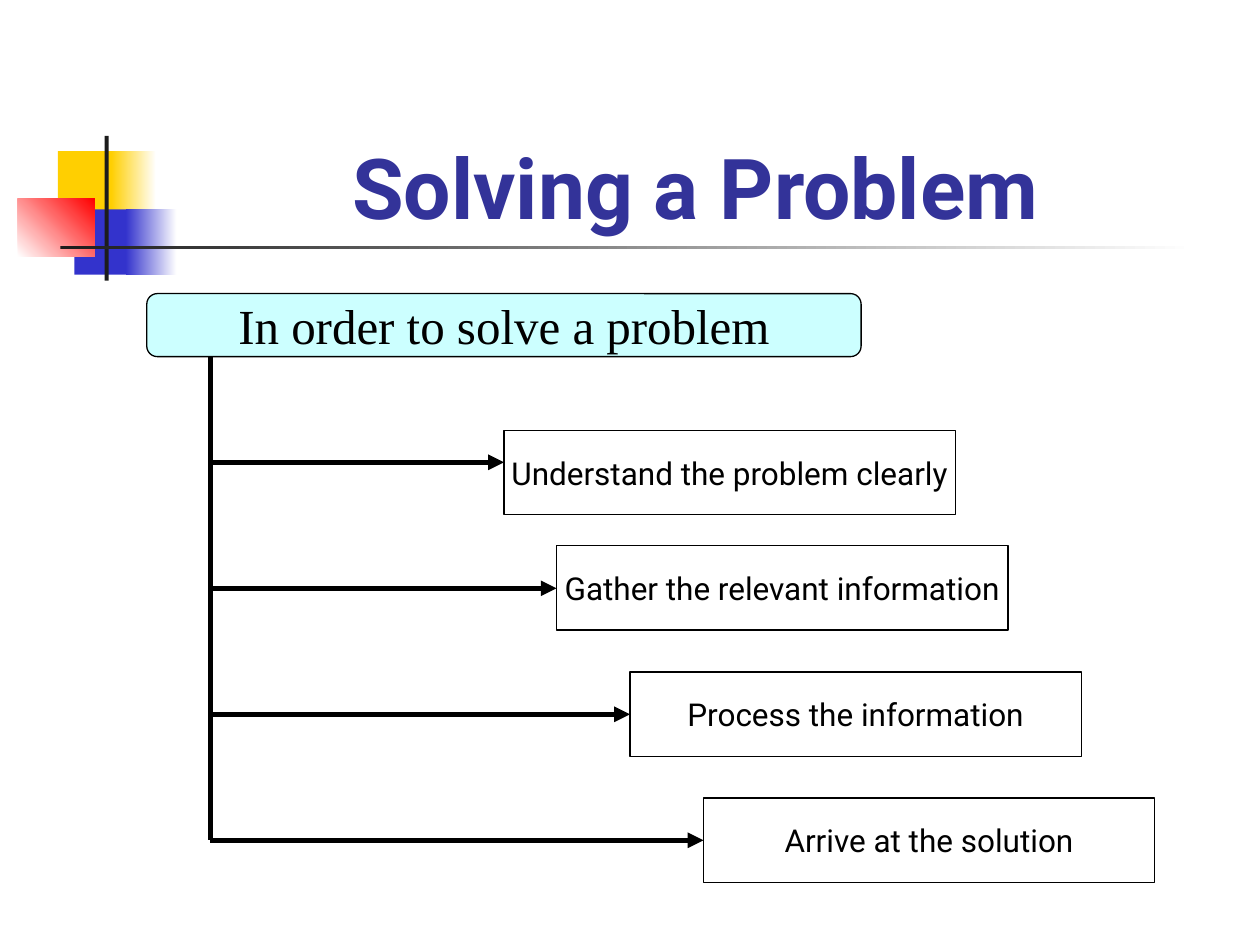
from lxml import etree
from pptx import Presentation
from pptx.dml.color import RGBColor
from pptx.enum.shapes import MSO_CONNECTOR, MSO_SHAPE
from pptx.enum.text import MSO_ANCHOR, PP_ALIGN
from pptx.oxml.ns import qn
from pptx.util import Cm, Pt

BLACK = RGBColor(0x00, 0x00, 0x00)
WHITE = RGBColor(0xFF, 0xFF, 0xFF)
YELLOW = RGBColor(0xFF, 0xCF, 0x01)
BLUE = RGBColor(0x33, 0x33, 0xCC)
RED = RGBColor(0xFF, 0x00, 0x00)
CHARCOAL = RGBColor(0x1C, 0x1C, 0x1C)
NAVY = RGBColor(0x33, 0x33, 0x99)
CYAN = RGBColor(0xCC, 0xFF, 0xFF)

# Content: lengths in cm
TITLE = "Solving a Problem"
HEADING = "In order to solve a problem"
STEPS = [  # text, left, top
    ("Understand the problem clearly", 10.16, 8.68),
    ("Gather the relevant information", 11.22, 11.0),
    ("Process the information", 12.7, 13.55),
    ("Arrive at the solution", 14.18, 16.09),
]
DECOR = [  # left, top, width, height, colours, gradient angle
    (1.17, 3.05, 1.22, 1.32, [YELLOW], 0),
    (2.24, 3.05, 0.91, 1.32, [YELLOW, WHITE], 0),
    (1.5, 4.22, 1.17, 1.32, [BLUE], 0),
    (2.54, 4.22, 1.02, 1.32, [BLUE, WHITE], 0),
    (0.36, 4.01, 1.55, 1.17, [WHITE, RED], 45),
    (2.11, 2.74, 0.08, 2.92, [CHARCOAL], 0),
    (1.22, 4.95, 22.86, 0.08, [CHARCOAL, WHITE], 0),
]
STEP_W, STEP_H = 9.1, 1.7
TRUNK_X, TRUNK_TOP = 4.24, 7.19
FIRST_ARROW, ARROW_GAP = 9.32, 2.54

prs = Presentation()
prs.slide_width, prs.slide_height = Cm(25.4), Cm(19.05)
s = prs.slides.add_slide(prs.slide_layouts[6])


def add_text(sp, text, size, font="Roboto", color=BLACK, bold=False,
             anchor=MSO_ANCHOR.MIDDLE, before=0, wrap=False):
    tf = sp.text_frame
    tf.word_wrap = wrap
    tf.vertical_anchor = anchor
    p = tf.paragraphs[0]
    p.alignment = PP_ALIGN.CENTER
    p.space_before = Pt(before)
    r = p.add_run()
    r.text = text
    r.font.size, r.font.name, r.font.bold = Pt(size), font, bold
    r.font.color.rgb = color


def add_box(left, top, width, height, colors, angle=0, outline=False,
            kind=MSO_SHAPE.RECTANGLE):
    sp = s.shapes.add_shape(kind, Cm(left), Cm(top), Cm(width), Cm(height))
    sp.shadow.inherit = False
    if len(colors) == 1:
        sp.fill.solid()
        sp.fill.fore_color.rgb = colors[0]
    else:
        sp.fill.gradient()
        sp.fill.gradient_angle = angle
        for stop, color, position in zip(sp.fill.gradient_stops, colors, (0, 1)):
            stop.color.rgb, stop.position = color, position
    if outline:
        sp.line.color.rgb, sp.line.width = BLACK, Pt(0.74)
    else:
        sp.line.fill.background()
    return sp


def add_line(x1, y1, x2, y2, arrow=False):
    c = s.shapes.add_connector(MSO_CONNECTOR.STRAIGHT, Cm(x1), Cm(y1), Cm(x2), Cm(y2))
    c.line.color.rgb, c.line.width = BLACK, Pt(3)
    if arrow:
        etree.SubElement(c.line._get_or_add_ln(), qn("a:tailEnd"), type="triangle")
    etree.SubElement(c._element.spPr, qn("a:effectLst"))


# Corner ornament and rule
for left, top, width, height, colors, angle in DECOR:
    add_box(left, top, width, height, colors, angle)

# Title
title = s.shapes.add_textbox(Cm(3.2), Cm(1.7), Cm(21.64), Cm(3.18))
add_text(title, TITLE, 48, color=NAVY, bold=True, anchor=MSO_ANCHOR.BOTTOM, wrap=True)

# Heading
heading = add_box(2.96, 5.92, 14.4, 1.27, [CYAN], outline=True,
                  kind=MSO_SHAPE.ROUNDED_RECTANGLE)
add_text(heading, HEADING, 28, font="Times New Roman", before=7)

# Steps, each with its arrow from the trunk
for i, (text, left, top) in enumerate(STEPS):
    arrow_y = FIRST_ARROW + i * ARROW_GAP
    add_text(add_box(left, top, STEP_W, STEP_H, [WHITE], outline=True), text, 18)
    add_line(TRUNK_X, arrow_y, left, arrow_y, arrow=True)

# Trunk, down to the last arrow
add_line(TRUNK_X, TRUNK_TOP, TRUNK_X, arrow_y)

prs.save("out.pptx")
